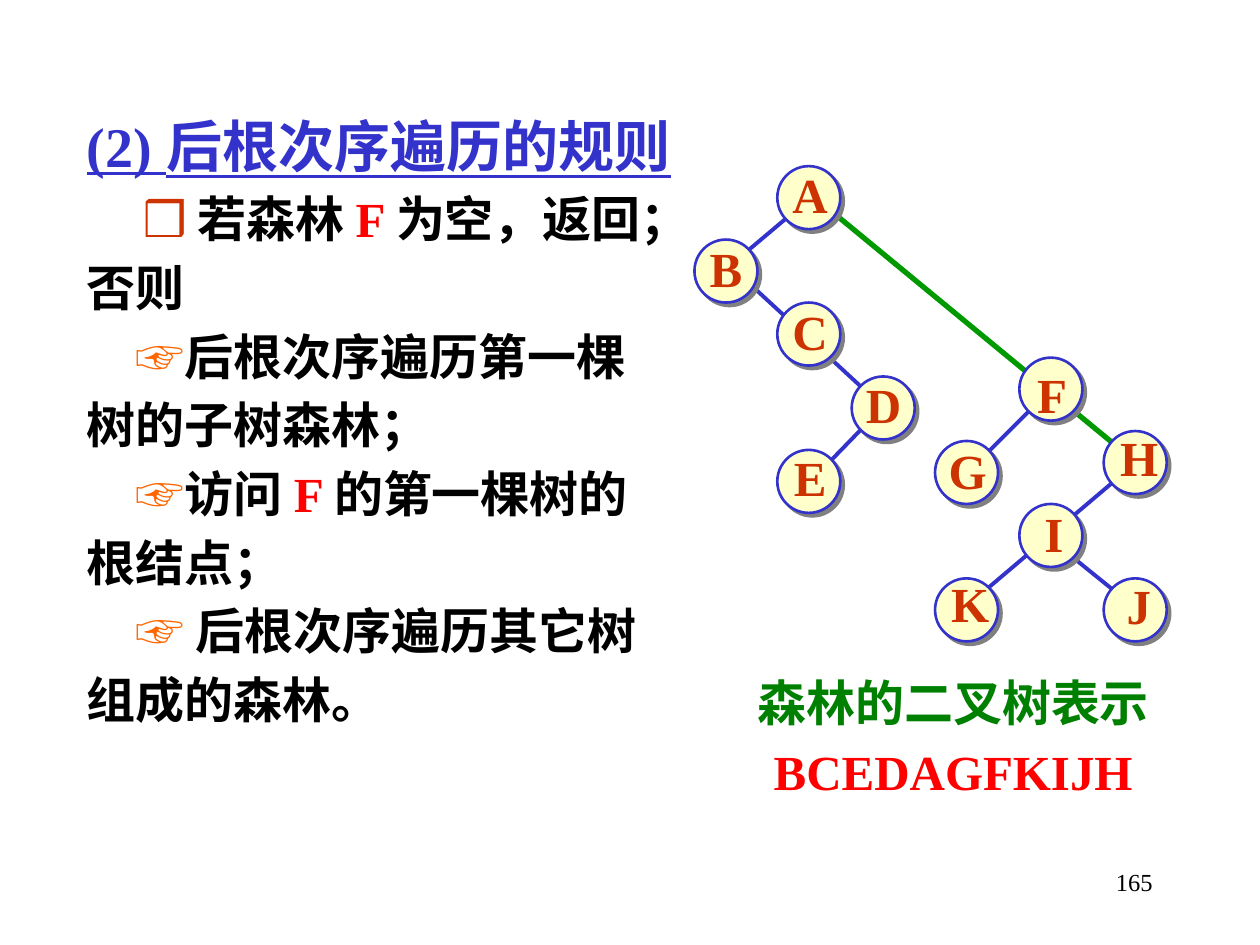
"""Build the slide on post-order traversal of a forest."""
from dataclasses import dataclass
from typing import NamedTuple

from lxml.etree import SubElement
from pptx import Presentation
from pptx.dml.color import RGBColor
from pptx.enum.shapes import MSO_CONNECTOR, MSO_SHAPE
from pptx.enum.text import MSO_ANCHOR, MSO_AUTO_SIZE, PP_ALIGN
from pptx.oxml.ns import qn
from pptx.util import Cm, Pt


@dataclass(frozen=True)
class Theme:
    font: str = "Times New Roman"
    black: str = "000000"
    blue: str = "3333CC"
    red: str = "FF0000"
    rust: str = "CC3300"
    orange: str = "FF6600"
    caption: str = "008000"
    link: str = "009900"
    cream: str = "FFFFCC"
    grey: str = "808080"
    title: int = 32
    body: int = 28
    small: int = 14
    edge_width: float = 2.25
    link_width: float = 3
    node_width: float = 1.5


T = Theme()


class Span(NamedTuple):
    text: str
    color: str = T.black
    size: int = T.body
    bold: bool = True
    underline: bool = False


class Para(NamedTuple):
    spans: list[Span]
    indent: float = 0


class Box(NamedTuple):
    x: float
    y: float
    w: float
    h: float


class Node(NamedTuple):
    label: str
    x: float
    y: float
    label_x: float
    label_y: float
    label_w: float


class Edge(NamedTuple):
    x1: float
    y1: float
    x2: float
    y2: float
    color: str = T.blue
    width: float = T.edge_width


NODE_SIZE = 1.27
LABEL_HEIGHT = 1.45
POINT = "☞"

EDGES = [
    Edge(16.74, 4.24, 22.66, 9.12, T.link, T.link_width),
    Edge(17.58, 8.43, 16.54, 9.5),
    Edge(14.83, 5.46, 17.58, 8),
    Edge(16.1, 4.19, 14.83, 5.26),
    Edge(21.62, 11.23, 22.66, 12.07),
    Edge(22.66, 9.53, 19.91, 11.86),
    Edge(20.98, 8.05, 19.71, 9.32),
]

NODES = [
    Node("A", 15.67, 3.35, 15.72, 3.18, 1.22),
    Node("B", 14, 4.83, 14.05, 4.67, 1.17),
    Node("C", 15.67, 6.1, 15.72, 5.94, 1.22),
    Node("D", 17.17, 7.59, 17.2, 7.42, 1.22),
    Node("E", 15.67, 9.07, 15.75, 8.89, 1.17),
    Node("F", 20.55, 7.21, 20.65, 7.21, 1.12),
    Node("G", 18.85, 8.89, 18.87, 8.74, 1.27),
    Node("H", 22.25, 8.69, 22.33, 8.48, 1.27),
    Node("I", 20.55, 10.16, 20.8, 10.01, 0.89),
    Node("J", 22.25, 11.66, 22.45, 11.48, 1.02),
    Node("K", 18.85, 11.66, 18.92, 11.43, 1.27),
]

RULES = [
    Para([Span("(2) 后根次序遍历的规则", T.blue, T.title, underline=True)]),
    Para([Span("❒", T.rust), Span(" 若森林 "), Span("F ", T.red),
          Span("为空，返回；")], 1.13),
    Para([Span("否则")]),
    Para([Span(POINT, T.orange), Span("后根次序遍历第一棵")], 0.99),
    Para([Span("树的子树森林；")]),
    Para([Span(POINT, T.orange), Span("访问 "), Span("F ", T.red),
          Span("的第一棵树的")], 0.99),
    Para([Span("根结点；")]),
    Para([Span(POINT + " ", T.orange), Span("后根次序遍历其它树")], 0.99),
    Para([Span("组成的森林。")]),
]

CAPTION = [
    Para([Span("森林的二叉树表示", T.caption)]),
    Para([Span("BCEDAGFKIJH", T.red)]),
]


def add_text(s, box: Box, paras: list[Para], align=PP_ALIGN.LEFT,
             anchor=MSO_ANCHOR.TOP, wrap: bool = True, grow: bool = True) -> None:
    """Add a text box, with 20% space before every paragraph but the first."""
    tf = s.shapes.add_textbox(*map(Cm, box)).text_frame
    tf.word_wrap = wrap
    tf.vertical_anchor = anchor
    tf.auto_size = MSO_AUTO_SIZE.SHAPE_TO_FIT_TEXT if grow else MSO_AUTO_SIZE.NONE
    for i, para in enumerate(paras):
        p = tf.add_paragraph() if i else tf.paragraphs[0]
        p.alignment = align
        pPr = p._p.get_or_add_pPr()
        if para.indent:
            pPr.set("marL", "0")
            pPr.set("indent", str(Cm(para.indent)))
        if i:
            SubElement(SubElement(pPr, qn("a:spcBef")), qn("a:spcPct"), val="20000")
        for span in para.spans:
            r = p.add_run()
            r.text = span.text
            r.font.name = T.font
            r.font.size = Pt(span.size)
            r.font.bold = span.bold
            r.font.underline = span.underline
            r.font.color.rgb = RGBColor.from_string(span.color)


def add_edge(s, edge: Edge) -> None:
    """Draw one straight edge of the tree."""
    cx = s.shapes.add_connector(
        MSO_CONNECTOR.STRAIGHT, Cm(edge.x1), Cm(edge.y1), Cm(edge.x2), Cm(edge.y2))
    cx.line.color.rgb = RGBColor.from_string(edge.color)
    cx.line.width = Pt(edge.width)
    SubElement(cx._element.spPr, qn("a:effectLst"))


def add_node(s, node: Node) -> None:
    """Draw one shadowed tree node and its letter."""
    sp = s.shapes.add_shape(
        MSO_SHAPE.OVAL, Cm(node.x), Cm(node.y), Cm(NODE_SIZE), Cm(NODE_SIZE))
    sp.fill.solid()
    sp.fill.fore_color.rgb = RGBColor.from_string(T.cream)
    sp.line.color.rgb = RGBColor.from_string(T.blue)
    sp.line.width = Pt(T.node_width)
    sp.shadow.inherit = False
    effects = sp._element.spPr.find(qn("a:effectLst"))
    shadow = SubElement(effects, qn("a:outerShdw"), dist=str(Pt(2.8)),
                        dir="2700000", algn="ctr", rotWithShape="0")
    SubElement(shadow, qn("a:srgbClr"), val=T.grey)
    add_text(s, Box(node.label_x, node.label_y, node.label_w, LABEL_HEIGHT),
             [Para([Span(node.label, T.rust)])], PP_ALIGN.CENTER,
             MSO_ANCHOR.MIDDLE, wrap=False)


def main() -> None:
    """Build and save the slide."""
    prs = Presentation()
    prs.slide_width, prs.slide_height = Cm(25.4), Cm(19.05)
    s = prs.slides.add_slide(prs.slide_layouts[6])
    add_text(s, Box(18.21, 17.35, 5.28, 1.27),
             [Para([Span("165", size=T.small, bold=False)])],
             PP_ALIGN.RIGHT, grow=False)
    add_text(s, Box(14.4, 13.44, 9.63, 2.87), CAPTION, PP_ALIGN.CENTER)
    for edge in EDGES:
        add_edge(s, edge)
    for node in NODES:
        add_node(s, node)
    add_text(s, Box(1.5, 2.13, 13.82, 13.21), RULES)
    prs.save("out.pptx")


if __name__ == "__main__":
    main()
